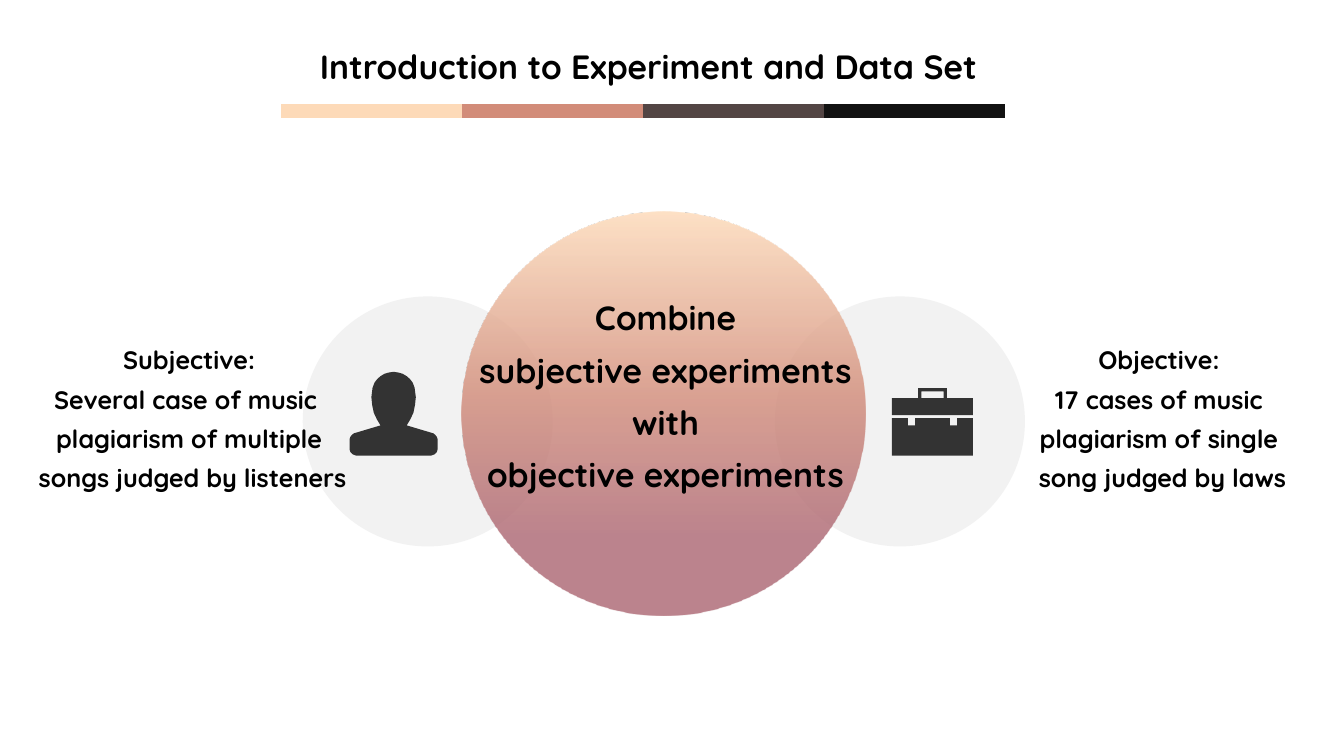
from dataclasses import dataclass

from lxml import etree
from pptx import Presentation
from pptx import util as u
from pptx.dml.color import RGBColor
from pptx.enum import shapes, text
from pptx.oxml import parse_xml
from pptx.oxml.ns import qn

DRAWING_NS = "http://schemas.openxmlformats.org/drawingml/2006/main"


@dataclass(frozen=True)
class Theme:
    font: str = "Quicksand"
    ink: str = "000000"
    icon: str = "333333"
    pale: str = "F2F2F2"
    bars: tuple = ("FDDAB8", "D28C79", "534544", "121212")
    gradient: tuple = ((0, "FDDAB8"), (45, "D28C79"), (80, "AC6672"), (100, "AC6672"))
    opacity: int = 80
    heading: int = 24
    body: int = 18
    bar_width: int = 10
    line_spacing: float = 1.3


class SlideBuilder:
    def __init__(self, slide, theme):
        self.s = slide
        self.theme = theme

    def paint(self, sp, color):
        sp.shadow.inherit = False
        sp.fill.solid()
        sp.fill.fore_color.rgb = RGBColor.from_string(color)
        sp.line.fill.background()

    def circle(self, left, top, size):
        sp = self.s.shapes.add_shape(
            shapes.MSO_SHAPE.OVAL, u.Cm(left), u.Cm(top), u.Cm(size), u.Cm(size))
        self.paint(sp, self.theme.pale)
        return sp

    def gradient_circle(self, left, top, size):
        sp = self.circle(left, top, size)
        stops = "".join(
            f'<a:gs pos="{pos * 1000}"><a:srgbClr val="{color}">'
            f'<a:alpha val="{self.theme.opacity * 1000}"/></a:srgbClr></a:gs>'
            for pos, color in self.theme.gradient)
        fill = parse_xml(
            f'<a:gradFill xmlns:a="{DRAWING_NS}" rotWithShape="1"><a:gsLst>{stops}'
            '</a:gsLst><a:lin ang="5400000" scaled="0"/></a:gradFill>')
        spPr = sp.element.spPr
        spPr.replace(spPr.find(qn("a:solidFill")), fill)

    def bar(self, left, top, length, color):
        line = self.s.shapes.add_connector(
            shapes.MSO_CONNECTOR.STRAIGHT,
            u.Cm(left), u.Cm(top), u.Cm(left + length), u.Cm(top))
        line.line.color.rgb = RGBColor.from_string(color)
        line.line.width = u.Pt(self.theme.bar_width)
        etree.SubElement(line.element.spPr, qn("a:effectLst"))

    def mirrored(self, parent, center, top, *halves):
        outlines = []
        for half in halves:
            points = half + [(-x, y) for x, y in reversed(half)]
            outlines.append([(u.Cm(center + x), u.Cm(top + y)) for x, y in points])
        first, *holes = outlines
        builder = parent.build_freeform(*first[0])
        builder.add_line_segments(first[1:])
        for hole in holes:
            builder.move_to(*hole[0])
            builder.add_line_segments(hole[1:])
        self.paint(builder.convert_to_shape(), self.theme.icon)

    def label(self, left, top, width, height, lines, size, wrap=False):
        tf = self.s.shapes.add_textbox(
            u.Cm(left), u.Cm(top), u.Cm(width), u.Cm(height)).text_frame
        tf.word_wrap = wrap
        tf.auto_size = text.MSO_AUTO_SIZE.SHAPE_TO_FIT_TEXT
        for i, line in enumerate(lines):
            p = tf.add_paragraph() if i else tf.paragraphs[0]
            p.alignment = text.PP_ALIGN.CENTER
            p.line_spacing = self.theme.line_spacing
            r = p.add_run()
            r.text = line
            r.font.name = self.theme.font
            r.font.size = u.Pt(size)
            r.font.bold = True
            r.font.color.rgb = RGBColor.from_string(self.theme.ink)


PERSON = [
    (0, 0), (0.13, 0.02), (0.23, 0.05), (0.33, 0.11), (0.41, 0.18), (0.48, 0.27),
    (0.53, 0.4), (0.56, 0.64), (0.54, 0.83), (0.5, 1.03), (0.42, 1.2), (0.33, 1.35),
    (1, 1.55), (1.05, 1.59), (1.09, 1.64), (1.11, 1.7), (1.11, 1.95), (1.09, 2.02),
    (1.03, 2.08), (0.95, 2.11),
]
CASE_LID = [(0.36, 0), (0.36, 0.25), (1.02, 0.25), (1.02, 0.68)]
CASE_HANDLE = [(0.28, 0.08), (0.28, 0.25)]
CASE_BODY = [(0.44, 0), (0.44, 0.18), (0.62, 0.18), (0.62, 0), (1.02, 0), (1.02, 0.94)]


def main():
    prs = Presentation()
    prs.slide_width, prs.slide_height = u.Cm(33.87), u.Cm(19.05)
    theme = Theme()
    b = SlideBuilder(prs.slides.add_slide(prs.slide_layouts[6]), theme)

    for left in (19.53, 7.63):
        b.circle(left, 7.47, 6.3)
    bar_length = 4.56
    for i, color in enumerate(theme.bars):
        b.bar(7.09 + i * bar_length, 2.8, bar_length, color)
    b.label(7.63, 0.74, 17.42, 1.6, ["Introduction to Experiment and Data Set"],
            theme.heading, wrap=True)

    b.gradient_circle(11.64, 5.34, 10.16)
    b.label(11.71, 7.06, 10.36, 5.44,
            ["Combine ", "subjective experiments ", "with ", "objective experiments "],
            theme.heading)

    b.mirrored(b.s.shapes, 9.92, 9.37, PERSON)
    briefcase = b.s.shapes.add_group_shape().shapes
    b.mirrored(briefcase, 23.5, 9.78, CASE_LID, CASE_HANDLE)
    b.mirrored(briefcase, 23.5, 10.54, CASE_BODY)

    b.label(0.51, 8.33, 8.51, 4.27,
            ["Subjective:", "Several case of music ", "plagiarism of multiple",
             " songs judged by listeners"], theme.body)
    b.label(25.83, 8.33, 6.93, 4.27,
            ["Objective: ", "17 cases of music ", "plagiarism of single ",
             "song judged by laws"], theme.body)
    prs.save("out.pptx")


if __name__ == "__main__":
    main()
